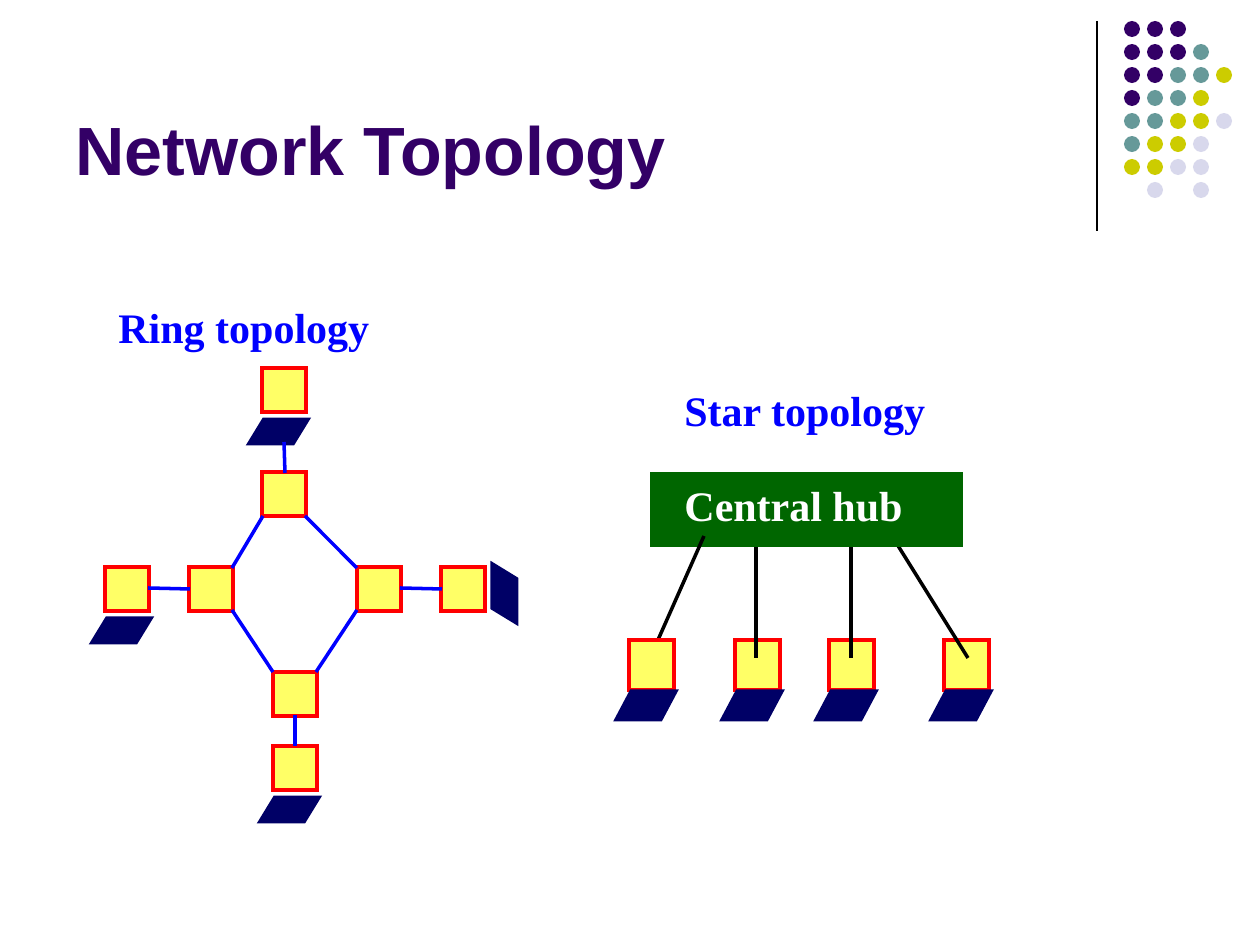
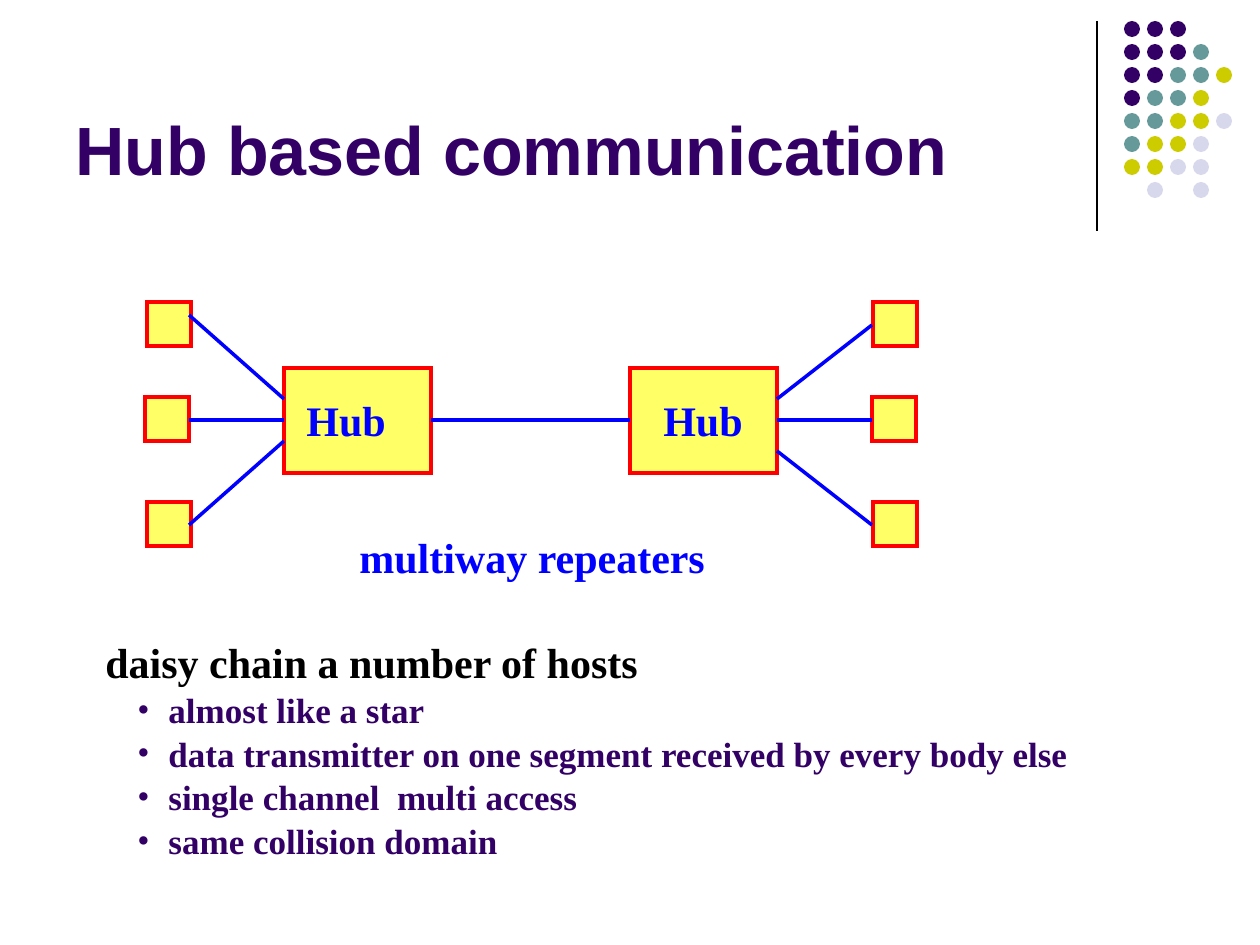
from dataclasses import dataclass

from lxml.etree import SubElement
from pptx import Presentation
from pptx.dml.color import RGBColor
from pptx.enum.shapes import MSO_CONNECTOR, MSO_SHAPE
from pptx.enum.text import MSO_ANCHOR, MSO_AUTO_SIZE, PP_ALIGN
from pptx.oxml.ns import qn
from pptx.util import Emu, Pt

PX_PER_INCH = 126
TITLE_ONLY = 5


@dataclass(frozen=True)
class Theme:
    purple: str = "330066"
    teal: str = "669999"
    olive: str = "CCCC00"
    lilac: str = "D8D8EC"
    black: str = "000000"
    white: str = "FFFFFF"
    blue: str = "0000FF"
    navy: str = "000066"
    red: str = "FF0000"
    yellow: str = "FFFF66"
    green: str = "006600"
    title_font: str = "Arial"
    text_font: str = "Times New Roman"
    title_size: int = 39
    label_size: int = 24
    bullet_size: int = 20
    link_width: int = 2
    keyboard_width: int = 4


def px(length):
    return Emu(round(length * 914400 / PX_PER_INCH))


class Deck:
    """Holds the theme and the slide being drawn; all lengths are in px."""

    DOTS = ("PPP", "PPPT", "PPTTO", "PTTO", "TTOOL", "TOOL", "OOLL", " L L")

    def __init__(self, theme):
        self.theme = theme
        self.presentation = Presentation()
        self.presentation.slide_width = px(1260)
        self.presentation.slide_height = px(945)
        self.slide = None

    def start_slide(self, title):
        layout = self.presentation.slide_layouts[TITLE_ONLY]
        self.slide = self.presentation.slides.add_slide(layout)
        self.corner_dots()
        heading = self.slide.shapes.title
        heading.left, heading.top = px(63), px(16)
        heading.width, heading.height = px(1040), px(179)
        frame = heading.text_frame
        frame.text = title
        frame.auto_size = MSO_AUTO_SIZE.NONE
        frame.vertical_anchor = MSO_ANCHOR.BOTTOM
        frame.paragraphs[0].alignment = PP_ALIGN.LEFT
        self.style(frame.paragraphs[0], self.theme.title_size,
                   self.theme.purple, self.theme.title_font)

    def corner_dots(self):
        t = self.theme
        colours = {"P": t.purple, "T": t.teal, "O": t.olive, "L": t.lilac}
        self.link((1097, 21), (1097, 231), t.black, 0.75)
        for row, dots in enumerate(self.DOTS):
            for column, dot in enumerate(dots):
                if dot in colours:
                    self.shape(MSO_SHAPE.OVAL, 1124 + 23 * column,
                               21 + 23 * row, 16, 16, colours[dot])

    def style(self, paragraph, size, colour, font=None):
        for run in paragraph.runs:
            run.font.name = font or self.theme.text_font
            run.font.size = Pt(size)
            run.font.bold = True
            run.font.color.rgb = RGBColor.from_string(colour)

    def shape(self, kind, x, y, width, height, fill, outline=None, weight=2):
        shape = self.slide.shapes.add_shape(
            kind, px(x), px(y), px(width), px(height))
        shape.shadow.inherit = False
        shape.fill.solid()
        shape.fill.fore_color.rgb = RGBColor.from_string(fill)
        if outline:
            shape.line.color.rgb = RGBColor.from_string(outline)
            shape.line.width = Pt(weight)
            SubElement(shape.line._get_or_add_ln(), qn("a:miter"), lim="800000")
        else:
            shape.line.fill.background()
        return shape

    def node(self, x, y, width=44, height=44):
        self.shape(MSO_SHAPE.RECTANGLE, x, y, width, height,
                   self.theme.yellow, self.theme.red)

    def keyboard(self, x, y, width, height, slant):
        keyboard = self.shape(MSO_SHAPE.PARALLELOGRAM, x, y, width, height,
                              self.theme.navy, self.theme.navy,
                              self.theme.keyboard_width)
        keyboard.adjustments[0] = slant
        return keyboard

    def link(self, start, end, colour, weight=None):
        link = self.slide.shapes.add_connector(
            MSO_CONNECTOR.STRAIGHT, *map(px, start + end))
        link.line.color.rgb = RGBColor.from_string(colour)
        link.line.width = Pt(weight or self.theme.link_width)
        SubElement(link._element.spPr, qn("a:effectLst"))

    def text_box(self, x, y, width, height):
        box = self.slide.shapes.add_textbox(
            px(x), px(y), px(width), px(height))
        box.text_frame.word_wrap = True
        return box.text_frame

    def label(self, text, x, y, width, colour):
        frame = self.text_box(x, y, width, 63)
        frame.text = text
        self.style(frame.paragraphs[0], self.theme.label_size, colour)

    def bullet_list(self, lead, points, x, y, width, height):
        frame = self.text_box(x, y, width, height)
        frame.word_wrap = False
        frame.text = lead
        self.style(frame.paragraphs[0], self.theme.label_size, self.theme.black)
        for point in points:
            paragraph = frame.add_paragraph()
            paragraph.text = point
            paragraph.level = 1
            paragraph.space_before = Pt(1)
            properties = paragraph._p.get_or_add_pPr()
            properties.set("marL", str(px(63)))
            properties.set("indent", str(-px(31)))
            colour = SubElement(properties, qn("a:buClr"))
            SubElement(colour, qn("a:srgbClr"), val=self.theme.purple)
            SubElement(properties, qn("a:buFont"), typeface=self.theme.text_font)
            SubElement(properties, qn("a:buChar"), char="•")
            self.style(paragraph, self.theme.bullet_size, self.theme.purple)


def draw_ring(deck):
    top, left, bottom = (262, 368), (105, 567), (273, 746)
    for x, y in (top, left, bottom):
        deck.node(x, y)
        deck.keyboard(x - 10, y + 53, 53, 21, 0.61)
    deck.keyboard(478, 583, 53, 21, 0.61).rotation = 270
    deck.node(441, 567)
    for x, y in ((262, 472), (189, 567), (273, 672), (357, 567)):
        deck.node(x, y)

    ring = (((232, 610), (273, 672)), ((316, 672), (357, 610)),
            ((232, 568), (263, 516)), ((305, 516), (357, 568)))
    spokes = (((284, 442), (285, 473)), ((148, 588), (190, 589)),
              ((400, 588), (442, 589)), ((295, 715), (295, 746)))
    for start, end in ring + spokes:
        deck.link(start, end, deck.theme.blue)


def draw_star(deck):
    t = deck.theme

    def host(x):
        deck.node(x, 640, 45, 50)
        deck.keyboard(x - 10, 693, 54, 25, 0.53)

    def cable(hub_x, host_x):
        deck.link((hub_x, 536), (host_x, 658), t.black)

    for host_x, cable_ends in ((735, (756, 756)), (829, (851, 851)),
                               (944, (892, 968))):
        host(host_x)
        cable(*cable_ends)
    deck.shape(MSO_SHAPE.RECTANGLE, 651, 473, 311, 73, t.green, t.green, 1)
    cable(704, 650)
    host(629)
    deck.label("Central hub", 672, 473, 472, t.white)


def draw_topologies(deck):
    deck.start_slide("Network Topology")
    draw_ring(deck)
    deck.label("Ring topology", 106, 295, 431, deck.theme.blue)
    deck.label("Star topology", 672, 378, 431, deck.theme.blue)
    draw_star(deck)


def draw_hubs(deck):
    blue = deck.theme.blue
    deck.start_slide("Hub based communication")
    for hub_x, label_x in ((284, 294), (630, 651)):
        deck.node(hub_x, 368, 147, 105)
        deck.label("Hub", label_x, 388, 116, blue)
    for outer_x, middle_x in ((147, 145), (873, 872)):
        for x, y in ((outer_x, 302), (middle_x, 397), (outer_x, 502)):
            deck.node(x, y)
    for start_x, end_x in ((189, 284), (431, 630), (777, 872)):
        deck.link((start_x, 420), (end_x, 420), blue)
    for start, end in (((284, 441), (189, 525)), ((189, 315), (284, 399)),
                       ((777, 399), (872, 325)), ((777, 451), (872, 525))):
        deck.link(start, end, blue)
    deck.label("multiway repeaters", 347, 525, 431, blue)
    deck.bullet_list(
        "daisy chain a number of hosts",
        ("almost like a star",
         "data transmitter on one segment received by every body else",
         "single channel  multi access",
         "same collision domain"),
        93, 630, 1000, 232)


def main():
    deck = Deck(Theme())
    draw_topologies(deck)
    draw_hubs(deck)
    deck.presentation.save("out.pptx")


if __name__ == "__main__":
    main()
